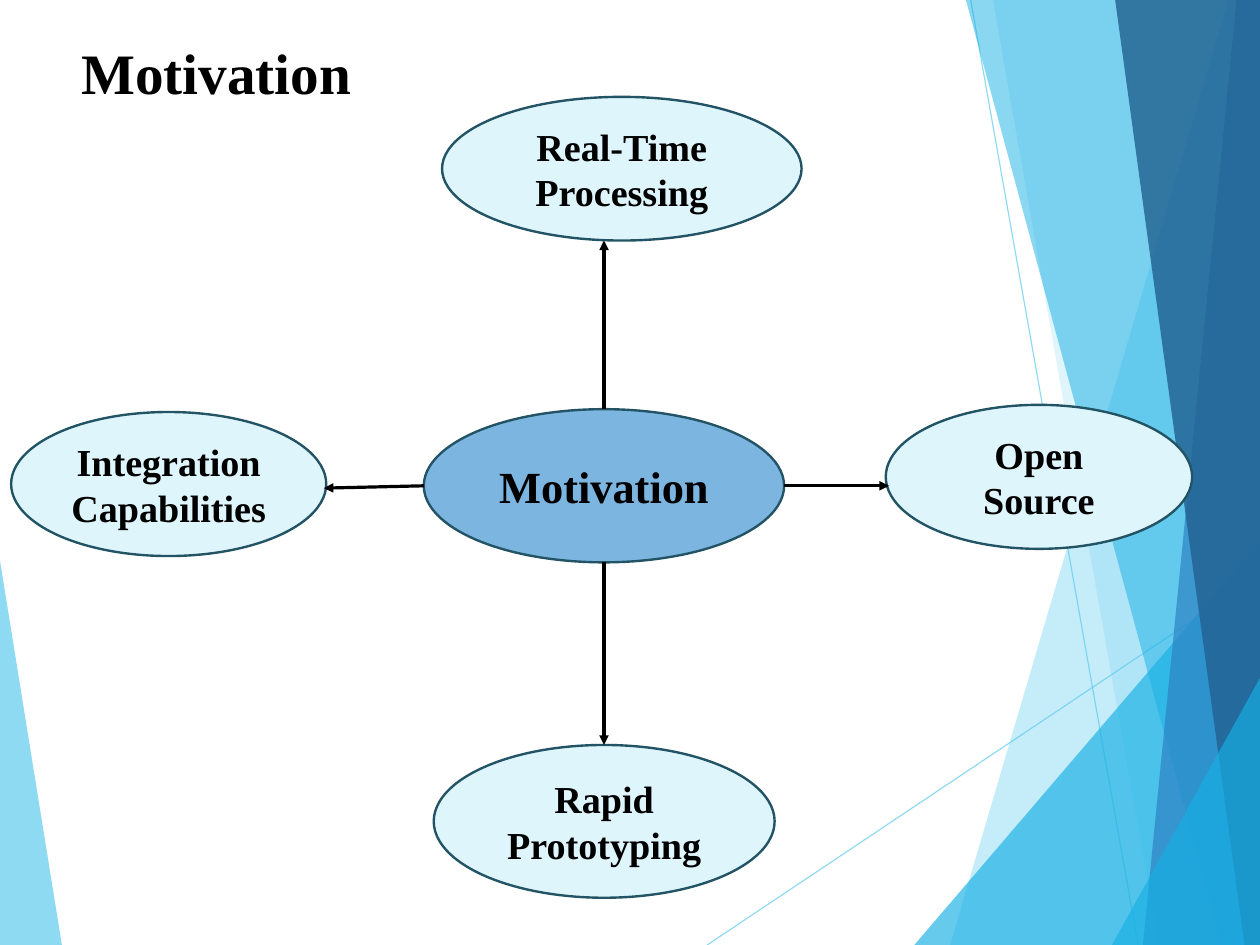
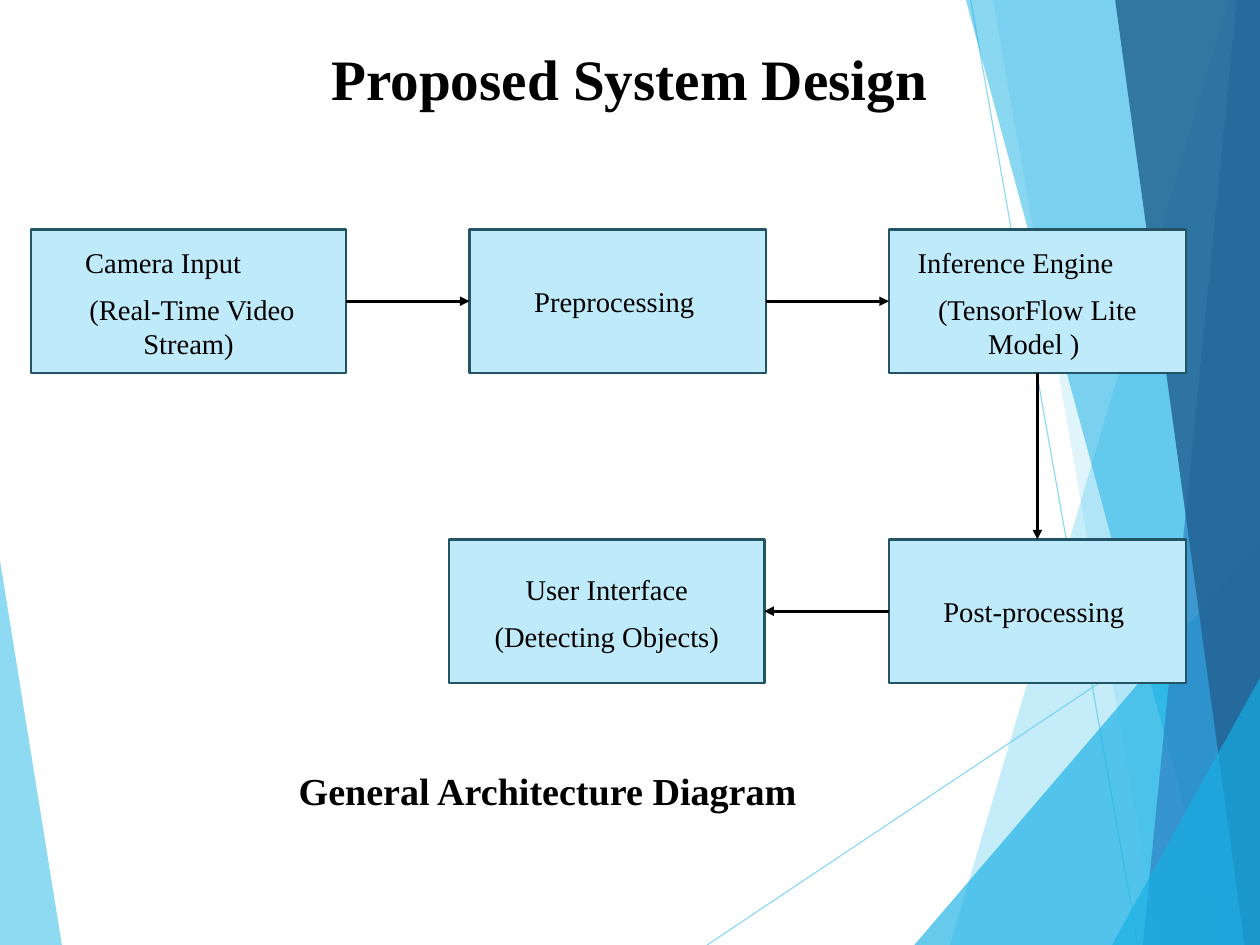
from pptx import Presentation
from pptx.dml.color import RGBColor
from pptx.enum.shapes import MSO_CONNECTOR as Conn, MSO_SHAPE as Kind
from pptx.enum.text import MSO_ANCHOR as Anchor, PP_ALIGN as Align
from pptx.oxml.ns import qn
from pptx.util import Pt
from lxml.etree import SubElement

WIDE, HIGH = 793.75, 595.25
FONT = "Times New Roman"
BLACK = RGBColor(0x00, 0x00, 0x00)
EDGE = RGBColor(0x23, 0x54, 0x65)
HUB = RGBColor(0x7C, 0xB5, 0xE0)
PALE = RGBColor(0xDF, 0xF5, 0xFC)
LIGHT = RGBColor(0xBF, 0xEA, 0xF9)
SKY = RGBColor(0x5F, 0xCB, 0xEF)
CYAN = RGBColor(0x17, 0xB0, 0xE4)
BLUE = RGBColor(0x2E, 0x83, 0xC3)
NAVY = RGBColor(0x23, 0x62, 0x92)

# Bands at the right edge: top x, top y, bottom x, colour, opacity
BANDS = [
    (774, 0, 598.5, SKY, 36),
    (625.5, 0, 730, SKY, 20),
    (WIDE, 341, 576, CYAN, 66),
    (608.5, 0, 769.5, CYAN, 50),
    (779, 0, 720, BLUE, 70),
    (702.5, 0, 784, NAVY, 82),
    (WIDE, 427, 700.5, CYAN, 66),
]
TOP, LEFT, BOTTOM, RIGHT = range(4)


def fade(shape, percent):
    for color in shape.element.spPr.iter(qn("a:srgbClr")):
        SubElement(color, qn("a:alpha"), val=str(percent * 1000))


def facet(slide, points, color, percent):
    first, *rest = [(Pt(x), Pt(y)) for x, y in points]
    pen = slide.shapes.build_freeform(*first)
    pen.add_line_segments(rest)
    shape = pen.convert_to_shape()
    shape.shadow.inherit = False
    shape.fill.solid()
    shape.fill.fore_color.rgb = color
    shape.line.fill.background()
    fade(shape, percent)


def stroke(slide, start, end, color, width):
    line = slide.shapes.add_connector(
        Conn.STRAIGHT, *[Pt(v) for v in (*start, *end)])
    line.line.color.rgb = color
    line.line.width = Pt(width)
    SubElement(line.element.spPr, qn("a:effectLst"))
    return line


def arrow(slide, start, end):
    line = stroke(slide, start, end, BLACK, 2)
    SubElement(line.get_or_add_ln(), qn("a:tailEnd"), type="triangle")
    return line


def link(slide, source, side, target, other):
    line = arrow(slide, (0, 0), (0, 0))
    line.begin_connect(source, side)
    line.end_connect(target, other)


def write(frame, text, size, bold):
    frame.word_wrap = True
    frame.vertical_anchor = Anchor.MIDDLE
    frame.text = text
    for para in frame.paragraphs:
        para.alignment = Align.CENTER
        for run in para.runs:
            run.font.name = FONT
            run.font.size = Pt(size)
            run.font.bold = bold
            run.font.color.rgb = BLACK


def label(slide, text, place, size=36):
    frame = slide.shapes.add_textbox(*[Pt(v) for v in place]).text_frame
    frame.margin_left = frame.margin_right = Pt(0)
    frame.margin_top = frame.margin_bottom = Pt(0)
    write(frame, text, size, True)


def node(slide, kind, text, place, fill, size, bold):
    shape = slide.shapes.add_shape(kind, *[Pt(v) for v in place])
    shape.shadow.inherit = False
    shape.fill.solid()
    shape.fill.fore_color.rgb = fill
    shape.line.color.rgb = EDGE
    shape.line.width = Pt(1.5)
    write(shape.text_frame, text, size, bold)
    return shape


def oval(slide, text, place, fill=PALE, size=24):
    return node(slide, Kind.OVAL, text, place, fill, size, True)


def box(slide, text, left, top, width, indent=None):
    shape = node(slide, Kind.RECTANGLE, text, (left, top, width, 90.5),
                 LIGHT, 18, False)
    head, *rest = shape.text_frame.paragraphs
    if rest:
        head.line_spacing = 1.07
        head.space_after = Pt(8)
    if indent:
        head.alignment = Align.LEFT
        head._p.get_or_add_pPr().set("marL", str(Pt(indent)))
    return shape


def backdrop(slide):
    """Draw the shared background, then move it to the slide's layout."""
    facet(slide, [(0, 353), (39, HIGH), (0, HIGH)], SKY, 70)
    for start, end in [((445.5, HIGH), (WIDE, 362.5)),
                       ((611.5, 0), (717, HIGH))]:
        fade(stroke(slide, start, end, SKY, 0.75), 70)
    for x, y, foot, color, percent in BANDS:
        facet(slide, [(x, y), (foot, HIGH), (WIDE, HIGH), (WIDE, y)],
              color, percent)
    layout = slide.slide_layout
    for holder in list(layout.placeholders):
        layout.shapes.element.remove(holder.element)
    for shape in list(slide.shapes):
        layout.shapes.element.append(shape.element)


def reasons(slide):
    # Hub and its four reasons
    oval(slide, "Motivation", (267, 257.75, 227, 96.5), HUB, 28)
    oval(slide, "Real-Time Processing", (278.5, 61, 226.5, 90.5))
    oval(slide, "Open Source", (558, 255, 193, 90.75))
    oval(slide, "Rapid Prototyping", (273.25, 469.25, 214.75, 96.25))
    oval(slide, "Integration\nCapabilities", (7, 259.5, 198.5, 90.75))
    # Arrows out of the hub
    for start, end in [((380.5, 257.75), (380.5, 151.5)),
                       ((380.5, 354.25), (380.5, 469.25)),
                       ((494, 306), (560, 306)),
                       ((267, 306), (204, 307.5))]:
        arrow(slide, start, end)
    label(slide, "Motivation", (34.25, 20, 204, 50))


def design(slide):
    label(slide, "Proposed System Design", (39.5, 23, 714, 52))
    label(slide, "General Architecture Diagram", (180, 482.5, 330, 31), 24)
    # Processing steps
    upper, lower = 144.5, 339.75
    camera = box(slide, "Camera Input\n (Real-Time Video Stream)",
                 19.5, upper, 198.5, 27)
    prep = box(slide, "Preprocessing ", 295.75, upper, 187)
    engine = box(slide, "Inference Engine\n(TensorFlow Lite Model ) ",
                 560, upper, 187, 11)
    post = box(slide, "Post-processing ", 560, lower, 187)
    screen = box(slide, "User Interface\n(Detecting Objects)",
                 283, lower, 198.5)
    # Flow
    link(slide, camera, RIGHT, prep, LEFT)
    link(slide, prep, RIGHT, engine, LEFT)
    link(slide, engine, BOTTOM, post, TOP)
    link(slide, post, LEFT, screen, RIGHT)


def main():
    deck = Presentation()
    deck.slide_width, deck.slide_height = Pt(WIDE), Pt(HIGH)
    blank = deck.slide_layouts[6]
    first, second = [deck.slides.add_slide(blank) for _ in range(2)]
    backdrop(first)
    reasons(first)
    design(second)
    deck.save("out.pptx")


if __name__ == "__main__":
    main()
